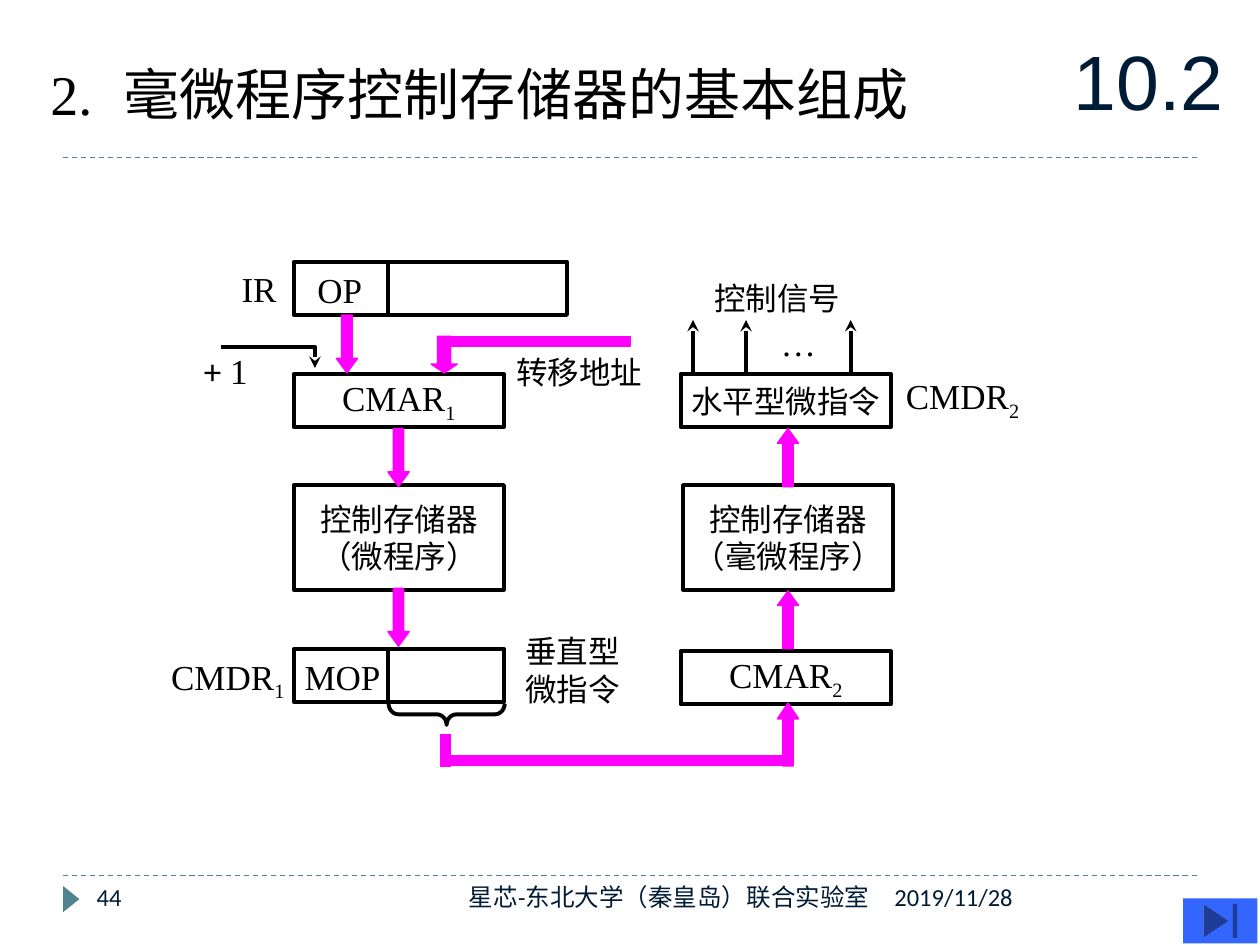
"""Build the slide on the structure of a nano-program control store."""
import pptx
import pptx.dml.color
import pptx.enum.dml
import pptx.enum.shapes
import pptx.enum.text
import pptx.oxml.ns
import pptx.oxml.xmlchemy
import pptx.util

Cm, Pt = pptx.util.Cm, pptx.util.Pt
SHAPE = pptx.enum.shapes.MSO_SHAPE
ALIGN = pptx.enum.text.PP_ALIGN
ANCHOR = pptx.enum.text.MSO_ANCHOR

BLACK, MAGENTA, NAVY, TEAL, BLUE = "000000", "FF00FF", "001B36", "51848E", "3366FF"
SERIF, TITLE_FONT = "Times New Roman", "DejaVu Sans"
BOX_WIDTH, BOX_HEIGHT, STORE_HEIGHT = 4.24, 1.07, 2.11

TITLE_RUNS = [("2.", 32, SERIF), ("　", 18, SERIF),
              ("毫微程序控制存储器的基本组成", 32, TITLE_FONT)]
BOXES = [
    ("", 5.92, 5.28, 5.51, BOX_HEIGHT, 20),
    ("CMAR_1", 5.92, 7.54, BOX_WIDTH, BOX_HEIGHT, 20),
    ("控制存储器\n（微程序）", 5.92, 9.78, BOX_WIDTH, STORE_HEIGHT, 18),
    ("", 5.92, 13.08, BOX_WIDTH, BOX_HEIGHT, 20),
    ("水平型微指令", 13.72, 7.54, BOX_WIDTH, BOX_HEIGHT, 18),
    ("控制存储器\n（毫微程序）", 13.77, 9.78, BOX_WIDTH, STORE_HEIGHT, 18),
    ("CMAR_2", 13.72, 13.13, BOX_WIDTH, BOX_HEIGHT, 20),
]
LABELS = [
    ("IR", 4.62, 5.26, 1.3, 1.09, 20),
    ("OP", 6.15, 5.28, 1.5, 1.09, 20),
    ("转移地址", 10.16, 6.99, 3.07, 1.02, 18),
    ("CMDR_1", 3.2, 13.08, 2.95, 1.09, 20),
    ("MOP", 5.89, 13.08, 2.16, 1.09, 20),
    ("垂直型\n微指令", 10.34, 12.62, 2.44, 1.78, 18),
    ("控制信号", 14.15, 5.51, 3.07, 1.02, 18),
    ("…", 15.49, 6.35, 1.22, 1.09, 20),
    ("CMDR_2", 18.01, 7.42, 2.95, 1.09, 20),
]
INCREMENT_RUNS = [("+", 20, "Calibri"), (" 1", 20, SERIF)]
FLOW_ARROWS = [
    (6.78, 6.35, 0.43, 1.17, 0.69, 0),
    (8.69, 6.78, 0.53, 0.74, 0.34, 0),
    (7.82, 8.64, 0.43, 1.17, 0.69, 0),
    (7.82, 11.86, 0.43, 1.17, 0.69, 0),
    (15.67, 14.17, 0.43, 1.27, 0.75, 180),
    (15.67, 11.91, 0.43, 1.17, 0.69, 180),
    (15.67, 8.64, 0.43, 1.17, 0.69, 180),
]
FLOW_BARS = [(8.89, 6.78, 3.81, 0.2), (8.89, 14.81, 0.2, 0.64), (8.89, 15.24, 6.99, 0.2)]
DIVIDER_X, DIVIDER_TOPS = 7.82, (5.28, 13.08)
SIGNAL_XS, SIGNAL_BOTTOM, SIGNAL_TOP = (13.97, 15.04, 17.15), 7.52, 6.45
INCREMENT_PATH = [(4.45, 6.99), (6.35, 6.99), (6.35, 7.42)]
RULE_YS = (3.18, 17.65)
CORNER_TEXTS = [
    ("10.2", 21.39, 0.43, 4.01, 2.34, 44, "Arial", ALIGN.LEFT, ANCHOR.MIDDLE),
    ("44", 1.7, 17.65, 5.51, 1.02, 14, "Calibri", ALIGN.LEFT, ANCHOR.TOP),
    ("星芯-东北大学（秦皇岛）联合实验室", 8.05, 17.65, 9.73, 1.02, 14, "Calibri",
     ALIGN.RIGHT, ANCHOR.TOP),
    ("2019/11/28", 17.78, 17.65, 6.35, 1.02, 14, "Calibri", ALIGN.LEFT, ANCHOR.TOP),
]


def rgb(color):
    return pptx.dml.color.RGBColor.from_string(color)


def style_run(run, size, font, color=BLACK):
    run.font.size, run.font.name = Pt(size), font
    run.font.color.rgb = rgb(color)


def write_runs(paragraph, runs):
    for text, size, font in runs:
        run = paragraph.add_run()
        run.text = text
        style_run(run, size, font)


def write_text(text_frame, text, size, font=SERIF, color=BLACK, align=ALIGN.LEFT):
    """Write lines of text; an underscore starts a subscript."""
    lines = [line.partition("_") for line in text.split("\n")]
    text_frame.text = "\n".join(base for base, _, _ in lines)
    for paragraph, (_, _, subscript) in zip(text_frame.paragraphs, lines):
        paragraph.alignment = align
        if subscript:
            paragraph.add_run().text = subscript
        for run in paragraph.runs:
            style_run(run, size, font, color)
        if subscript:
            paragraph.runs[-1].font._element.set("baseline", "-25000")


def add_textbox(slide, bounds, wrap=False):
    box = slide.shapes.add_textbox(*map(Cm, bounds))
    box.text_frame.word_wrap = wrap
    return box.text_frame


def add_shape(slide, kind, bounds, fill=None, line=None, width=0.75):
    shape = slide.shapes.add_shape(kind, *map(Cm, bounds))
    style_shape(shape, fill, line, width)
    return shape


def style_shape(shape, fill, line, width):
    shape.shadow.inherit = False
    if fill:
        shape.fill.solid()
        shape.fill.fore_color.rgb = rgb(fill)
    else:
        shape.fill.background()
    if line:
        shape.line.color.rgb = rgb(line)
        shape.line.width = Pt(width)
    else:
        shape.line.fill.background()


def add_line(slide, start, end, color=BLACK, width=2.25):
    straight = pptx.enum.shapes.MSO_CONNECTOR.STRAIGHT
    connector = slide.shapes.add_connector(straight, *map(Cm, start + end))
    connector.line.color.rgb = rgb(color)
    connector.line.width = Pt(width)
    connector._element.spPr.append(pptx.oxml.xmlchemy.OxmlElement("a:effectLst"))
    return connector


def add_arrowhead(shape):
    tail = pptx.oxml.xmlchemy.OxmlElement("a:tailEnd")
    tail.set("type", "stealth")
    shape._element.spPr.find(pptx.oxml.ns.qn("a:ln")).append(tail)


def add_frame(slide):
    for y in RULE_YS:
        rule = add_line(slide, (1.27, y), (24.13, y), TEAL, 0.75)
        rule.line.dash_style = pptx.enum.dml.MSO_LINE.DASH
    marker = add_shape(slide, SHAPE.ISOSCELES_TRIANGLE, (1.17, 17.96, 0.53, 0.33), TEAL)
    marker.rotation = 90
    title = slide.shapes.title
    title.left, title.top, title.width, title.height = map(Cm, (0.76, 1.07, 20.4, 1.6))
    title.text_frame.auto_size = pptx.enum.text.MSO_AUTO_SIZE.NONE
    title.text_frame.paragraphs[0].alignment = ALIGN.LEFT
    write_runs(title.text_frame.paragraphs[0], TITLE_RUNS)
    for text, *bounds, size, font, align, anchor in CORNER_TEXTS:
        text_frame = add_textbox(slide, bounds, wrap=True)
        text_frame.vertical_anchor = anchor
        write_text(text_frame, text, size, font, NAVY, align)
    add_shape(slide, SHAPE.ACTION_BUTTON_END, (23.85, 18.11, 1.5, 0.91), BLUE)


def add_diagram(slide):
    for text, *bounds, size in BOXES:
        box = add_shape(slide, SHAPE.RECTANGLE, bounds, line=BLACK, width=2.25)
        if text:
            box.text_frame.word_wrap = False
            box.text_frame.vertical_anchor = ANCHOR.MIDDLE
            write_text(box.text_frame, text, size, align=ALIGN.CENTER)
    for top in DIVIDER_TOPS:
        add_line(slide, (DIVIDER_X, top), (DIVIDER_X, top + BOX_HEIGHT))
    for text, *bounds, size in LABELS:
        write_text(add_textbox(slide, bounds), text, size)
    increment = add_textbox(slide, (3.86, 6.93, 1.4, 1.09))
    write_runs(increment.paragraphs[0], INCREMENT_RUNS)
    for *bounds, head, rotation in FLOW_ARROWS:
        arrow = add_shape(slide, SHAPE.DOWN_ARROW, bounds, MAGENTA, MAGENTA)
        arrow.adjustments[1] = head
        arrow.rotation = rotation
    for bounds in FLOW_BARS:
        add_shape(slide, SHAPE.RECTANGLE, bounds, MAGENTA, MAGENTA)
    for x in SIGNAL_XS:
        add_arrowhead(add_line(slide, (x, SIGNAL_BOTTOM), (x, SIGNAL_TOP)))
    start, *corners = [(Cm(x), Cm(y)) for x, y in INCREMENT_PATH]
    builder = slide.shapes.build_freeform(*start)
    builder.add_line_segments(corners, close=False)
    elbow = builder.convert_to_shape()
    style_shape(elbow, None, BLACK, 2.25)
    add_arrowhead(elbow)
    brace = add_shape(slide, SHAPE.LEFT_BRACE, (8.79, 13.23, 0.43, 2.34), line=BLACK, width=2.25)
    brace.adjustments[0] = 0.46
    brace.rotation = 270


def main():
    presentation = pptx.Presentation()
    presentation.slide_width, presentation.slide_height = Cm(25.4), Cm(19.05)
    slide = presentation.slides.add_slide(presentation.slide_layouts[5])
    add_frame(slide)
    add_diagram(slide)
    presentation.save("out.pptx")


if __name__ == "__main__":
    main()
